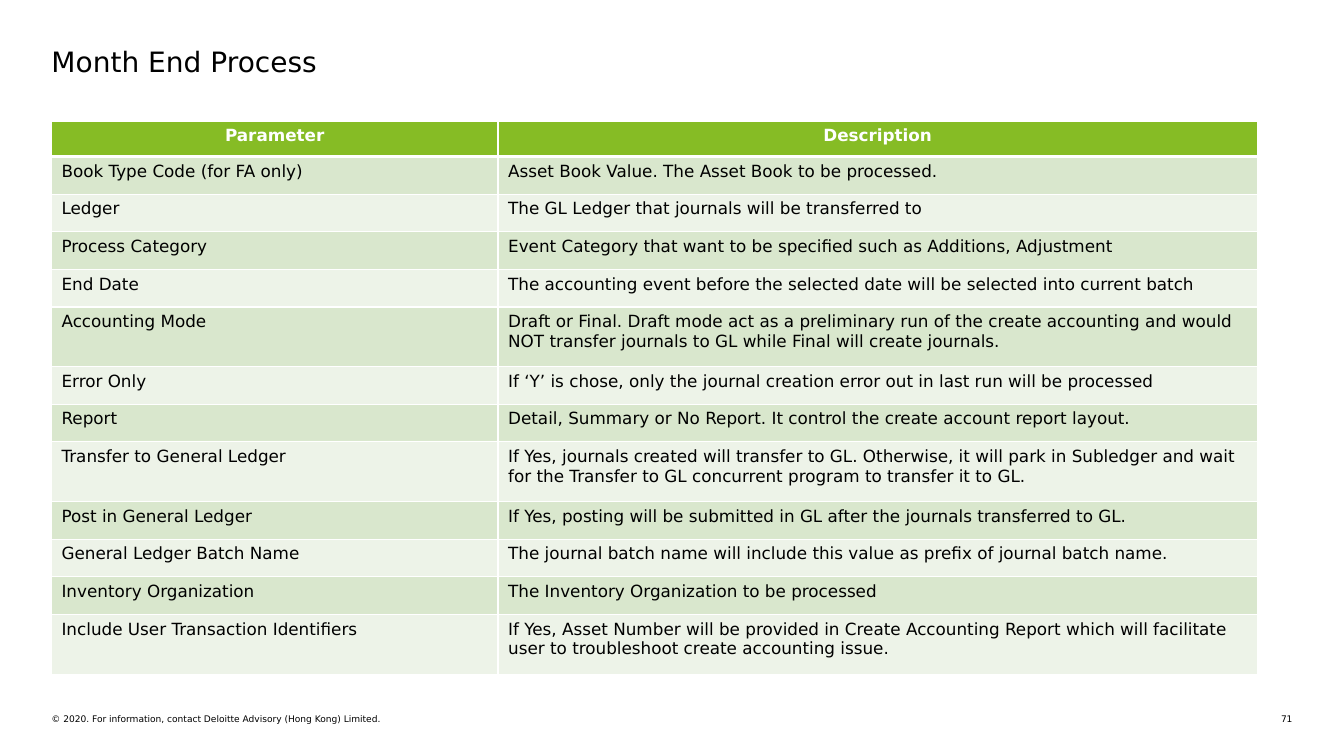
from lxml.etree import SubElement
from pptx import Presentation
from pptx.dml.color import RGBColor
from pptx.enum.text import PP_ALIGN
from pptx.oxml.ns import qn
from pptx.util import Inches, Pt

WIDTH, HEIGHT = Inches(13.33), Inches(7.5)
FONT = "DejaVu Sans"
BLACK = RGBColor(0x00, 0x00, 0x00)
WHITE = RGBColor(0xFF, 0xFF, 0xFF)
GREEN = RGBColor(0x86, 0xBC, 0x25)
BANDS = [RGBColor(0xD9, 0xE7, 0xCD), RGBColor(0xED, 0xF3, 0xE8)]

# Shares of the slide's width or height, in percent
LEFT = 3.83
TABLE_TOP, TABLE_HEIGHT = 16, 73.2
COLUMNS = [33.23, 56.49]
HEADER_ROW, TWO_LINE_ROW = 4.7, 7.9
FOOTER_TOP, FOOTER_HEIGHT = 94.4, 1.47
LINE_LENGTH = 90  # characters that fit on one line of a description

HEADINGS = ("Parameter", "Description")
PARAMETERS = [
    ("Book Type Code (for FA only)",
     "Asset Book Value. The Asset Book to be processed."),
    ("Ledger", "The GL Ledger that journals will be transferred to"),
    ("Process Category",
     "Event Category that want to be specified such as Additions, Adjustment"),
    ("End Date",
     "The accounting event before the selected date will be selected into current batch"),
    ("Accounting Mode",
     "Draft or Final. Draft mode act as a preliminary run of the create accounting "
     "and would NOT transfer journals to GL while Final will create journals."),
    ("Error Only",
     "If ‘Y’ is chose, only the journal creation error out in last run will be processed"),
    ("Report",
     "Detail, Summary or No Report. It control the create account report layout."),
    ("Transfer to General Ledger",
     "If Yes, journals created will transfer to GL. Otherwise, it will park in Subledger "
     "and wait for the Transfer to GL concurrent program to transfer it to GL."),
    ("Post in General Ledger",
     "If Yes, posting will be submitted in GL after the journals transferred to GL."),
    ("General Ledger Batch Name",
     "The journal batch name will include this value as prefix of journal batch name."),
    ("Inventory Organization", "The Inventory Organization to be processed"),
    ("Include User Transaction Identifiers",
     "If Yes, Asset Number will be provided in Create Accounting Report which will "
     "facilitate user to troubleshoot create accounting issue."),
]


def across(percent):
    return round(WIDTH * percent / 100)


def down(percent):
    return round(HEIGHT * percent / 100)


def write(tf, text, size, color=BLACK, align=PP_ALIGN.LEFT, bold=False):
    p = tf.paragraphs[0]
    p.text = text
    p.alignment = align
    p.font.name = FONT
    p.font.size = Pt(size)
    p.font.bold = bold
    p.font.color.rgb = color


def add_text(s, left, top, width, height, text, size, align=PP_ALIGN.LEFT):
    tf = s.shapes.add_textbox(across(left), down(top), across(width), down(height)).text_frame
    tf.word_wrap = True
    tf.margin_left = tf.margin_top = tf.margin_right = tf.margin_bottom = 0
    write(tf, text, size, align=align)


def add_borders(cell, top, bottom):
    """Draw white borders; top and bottom are line widths in points."""
    tc_pr = cell._tc.get_or_add_tcPr()
    for side, width in (("L", 1), ("R", 1), ("T", top), ("B", bottom)):
        line = SubElement(tc_pr, qn(f"a:ln{side}"), w=str(Pt(width)))
        fill = SubElement(line, qn("a:solidFill"))
        SubElement(fill, qn("a:srgbClr"), val=str(WHITE))


def fill_cell(cell, color, top=1, bottom=1):
    add_borders(cell, top, bottom)
    cell.fill.solid()
    cell.fill.fore_color.rgb = color


def row_heights():
    """Share what the header and two-line rows leave among the other rows."""
    wraps = [len(description) > LINE_LENGTH for _, description in PARAMETERS]
    rest = TABLE_HEIGHT - HEADER_ROW - TWO_LINE_ROW * sum(wraps)
    one_line_row = rest / wraps.count(False)
    return [HEADER_ROW] + [TWO_LINE_ROW if wrap else one_line_row for wrap in wraps]


def add_parameter_table(s):
    table = s.shapes.add_table(
        len(PARAMETERS) + 1, len(COLUMNS), across(LEFT), down(TABLE_TOP),
        across(sum(COLUMNS)), down(TABLE_HEIGHT)).table
    for column, width in zip(table.columns, COLUMNS):
        column.width = across(width)
    for row, height in zip(table.rows, row_heights()):
        row.height = down(height)
    for c, heading in enumerate(HEADINGS):
        cell = table.cell(0, c)
        fill_cell(cell, GREEN, bottom=3)
        write(cell.text_frame, heading, 12, WHITE, PP_ALIGN.CENTER, True)
    for r, texts in enumerate(PARAMETERS):
        for c, text in enumerate(texts):
            cell = table.cell(r + 1, c)
            fill_cell(cell, BANDS[r % 2], top=3 if r == 0 else 1)
            write(cell.text_frame, text, 12)


def main():
    prs = Presentation()
    prs.slide_width, prs.slide_height = WIDTH, HEIGHT
    s = prs.slides.add_slide(prs.slide_layouts[6])
    add_text(s, LEFT, 5.87, 92.35, 10.13, "Month End Process", 20)
    add_parameter_table(s)
    add_text(s, LEFT, FOOTER_TOP, 43.96, FOOTER_HEIGHT,
             "© 2020. For information, contact Deloitte Advisory (Hong Kong) Limited.", 6.5)
    add_text(s, 93.62, FOOTER_TOP, 2.55, FOOTER_HEIGHT, "71", 6.5, PP_ALIGN.RIGHT)
    prs.save("out.pptx")


if __name__ == "__main__":
    main()
